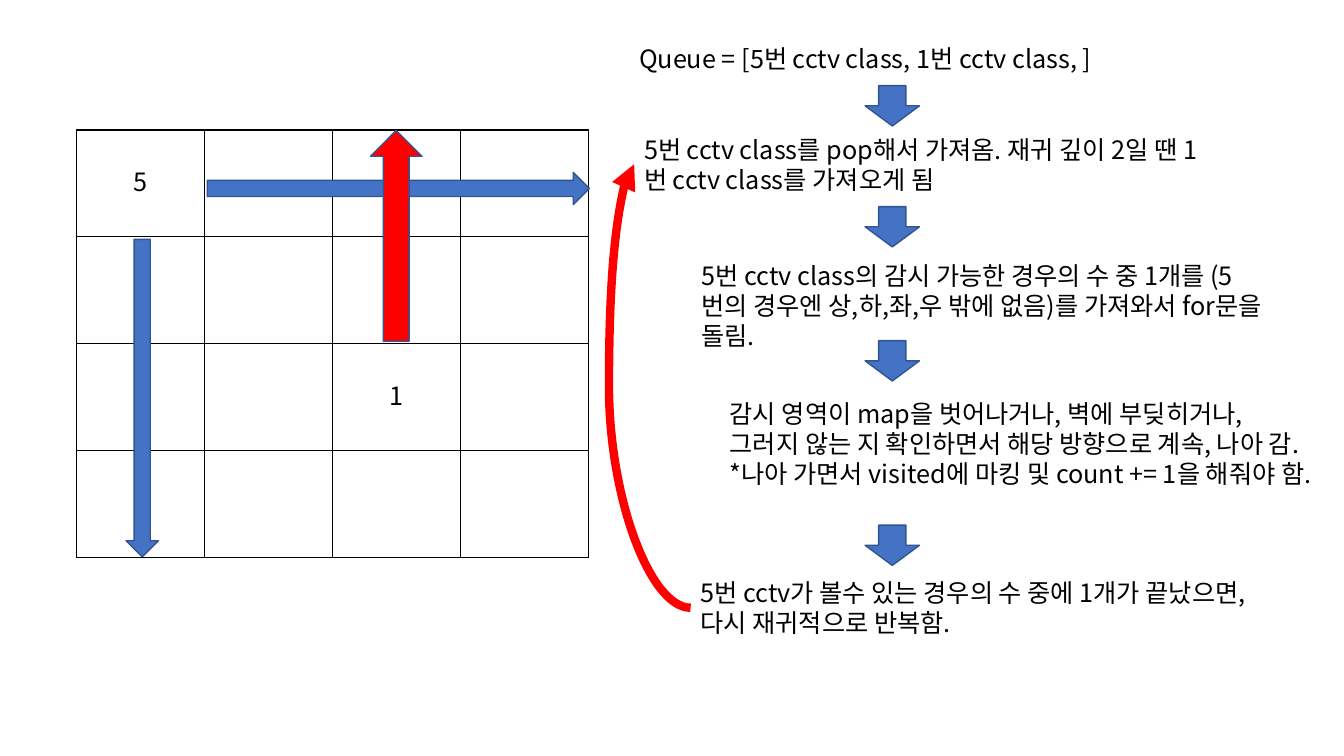
from lxml import etree
from pptx import Presentation
from pptx.dml.color import RGBColor
from pptx.enum import shapes, text
from pptx.oxml import ns
from pptx.util import Inches, Pt

FONT = "Noto Sans CJK KR"
COLORS = {"ink": "000000", "blue": "4472C4", "edge": "325491", "red": "FF0000"}

CAMERAS = {(0, 0): "5", (2, 2): "1"}  # (row, column): camera type
GRID_LEFT, GRID_TOP, COL, ROW, SIZE = 0.76, 1.29, 1.27, 1.06, 4

STEP_WIDTH, LINE_HEIGHT = 5.9, 0.3
STEPS = [  # left, top, line count, paragraphs
    (6.24, 0.38, 1, ["Queue = [5번 cctv class, 1번 cctv class, ]"]),
    (6.29, 1.28, 2, ["5번 cctv class를 pop해서 가져옴. 재귀 깊이 2일 땐 1번 cctv class를 가져오게 됨"]),
    (6.86, 2.53, 3, ["5번 cctv class의 감시 가능한 경우의 수 중 1개를 "
                     "(5번의 경우엔 상,하,좌,우 밖에 없음)를 가져와서 for문을 돌림."]),
    (7.14, 3.9, 4, ["감시 영역이 map을 벗어나거나, 벽에 부딪히거나,",
                    "그러지 않는 지 확인하면서 해당 방향으로 계속, 나아 감. "
                    "*나아 가면서 visited에 마킹 및 count += 1을 해줘야 함."]),
    (6.85, 5.68, 2, ["5번 cctv가 볼수 있는 경우의 수 중에 1개가 끝났으면, 다시 재귀적으로 반복함."]),
]
VIEWS = [  # centre x, centre y, length, thickness, rotation, colour
    (3.95, 1.87, 3.79, 0.32, 0, "blue"),
    (1.41, 3.95, 3.15, 0.32, 90, "blue"),
    (3.93, 2.34, 2.09, 0.51, 270, "red"),
]
FLOW_X, FLOW_YS = 8.85, [1.05, 2.25, 3.58, 5.41]
LOOP_START, LOOP_END, LOOP_BEND = (6.85, 6.03), (6.29, 1.63), 1.446


def rgb(name):
    return RGBColor.from_string(COLORS[name])


def sub(parent, tag, **attrs):
    return etree.SubElement(parent, ns.qn(tag), attrs)


def write(tf, paragraphs, size=18, align=text.PP_ALIGN.LEFT, color="ink"):
    for i, line in enumerate(paragraphs):
        p = tf.paragraphs[0] if i == 0 else tf.add_paragraph()
        p.alignment = align
        p.line_spacing = Pt(LINE_HEIGHT * 72)
        r = p.add_run()
        r.text = line
        r.font.size, r.font.name = Pt(size), FONT
        r.font.color.rgb = rgb(color)
        sub(r.font._element, "a:ea", typeface=FONT)


def add_grid(s):
    table = s.shapes.add_table(SIZE, SIZE, Inches(GRID_LEFT), Inches(GRID_TOP),
                               Inches(COL * SIZE), Inches(ROW * SIZE)).table
    table.first_row = table.horz_banding = False
    for i in range(SIZE):
        table.columns[i].width, table.rows[i].height = Inches(COL), Inches(ROW)
    for row in range(SIZE):
        for col in range(SIZE):
            cell = table.cell(row, col)
            cell.vertical_anchor = text.MSO_ANCHOR.MIDDLE
            if (row, col) in CAMERAS:
                write(cell.text_frame, [CAMERAS[row, col]], align=text.PP_ALIGN.CENTER)
            props = cell._tc.get_or_add_tcPr()
            for side in ("a:lnL", "a:lnR", "a:lnT", "a:lnB"):
                ln = sub(props, side, w=str(Pt(1)))
                sub(sub(ln, "a:solidFill"), "a:srgbClr", val=COLORS["ink"])
            cell.fill.background()


def add_arrow(s, x, y, length, thickness, rotation, color):
    """Block arrow centred on (x, y)."""
    sp = s.shapes.add_shape(shapes.MSO_SHAPE.RIGHT_ARROW,
                            Inches(x - length / 2), Inches(y - thickness / 2),
                            Inches(length), Inches(thickness))
    sp.rotation = rotation
    sp.shadow.inherit = False
    sp.fill.solid()
    sp.fill.fore_color.rgb = rgb(color)
    sp.line.color.rgb = rgb("edge")
    sp.line.width = Pt(1)


def add_loop(s):
    """Curved arrow from the last step back to the pop step."""
    loop = s.shapes.add_connector(shapes.MSO_CONNECTOR.CURVE,
                                  *map(Inches, LOOP_START + LOOP_END))
    loop.line.color.rgb = rgb("red")
    loop.line.width = Pt(6)
    props = loop._element.spPr
    sub(props.find(ns.qn("a:ln")), "a:tailEnd", type="triangle")
    sub(props, "a:effectLst")
    guides = props.find(ns.qn("a:prstGeom")).get_or_add_avLst()
    sub(guides, "a:gd", name="adj1", fmla=f"val {round(LOOP_BEND * 100000)}")


def main():
    prs = Presentation()
    prs.slide_width, prs.slide_height = Inches(13.33), Inches(7.5)
    s = prs.slides.add_slide(prs.slide_layouts[6])
    add_grid(s)
    for left, top, lines, paragraphs in STEPS:
        box = s.shapes.add_textbox(Inches(left), Inches(top), Inches(STEP_WIDTH),
                                   Inches(lines * LINE_HEIGHT + 0.1))
        box.text_frame.word_wrap = True
        write(box.text_frame, paragraphs)
    for view in VIEWS:
        add_arrow(s, *view)
    for y in FLOW_YS:
        add_arrow(s, FLOW_X, y, 0.4, 0.54, 90, "blue")
    add_loop(s)
    prs.save("out.pptx")


if __name__ == "__main__":
    main()
